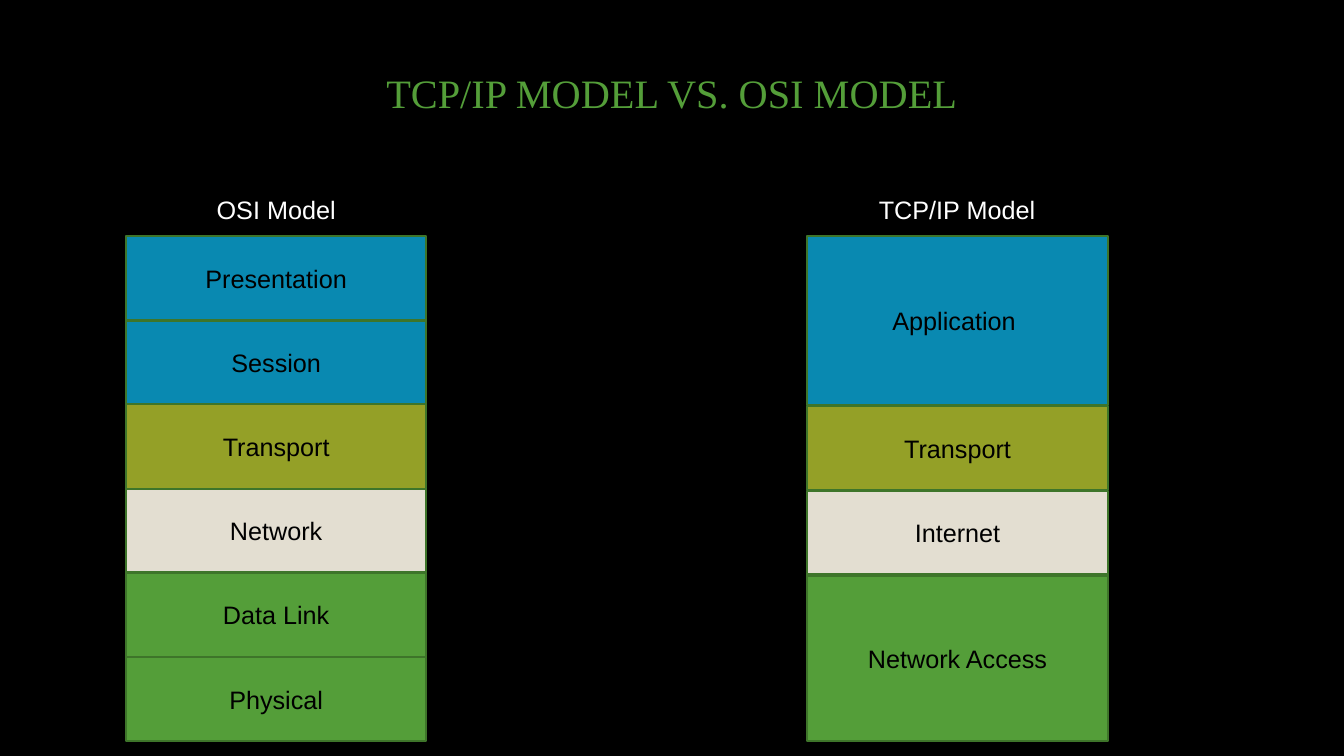
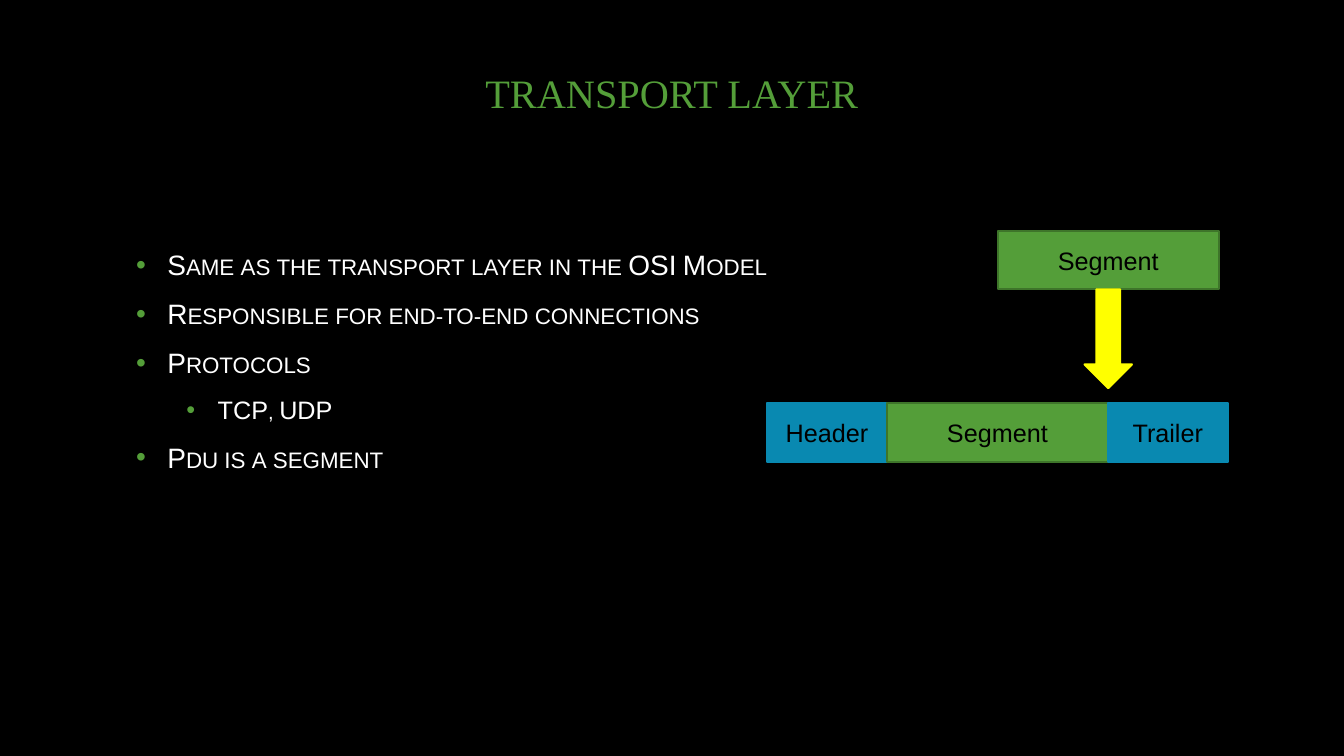
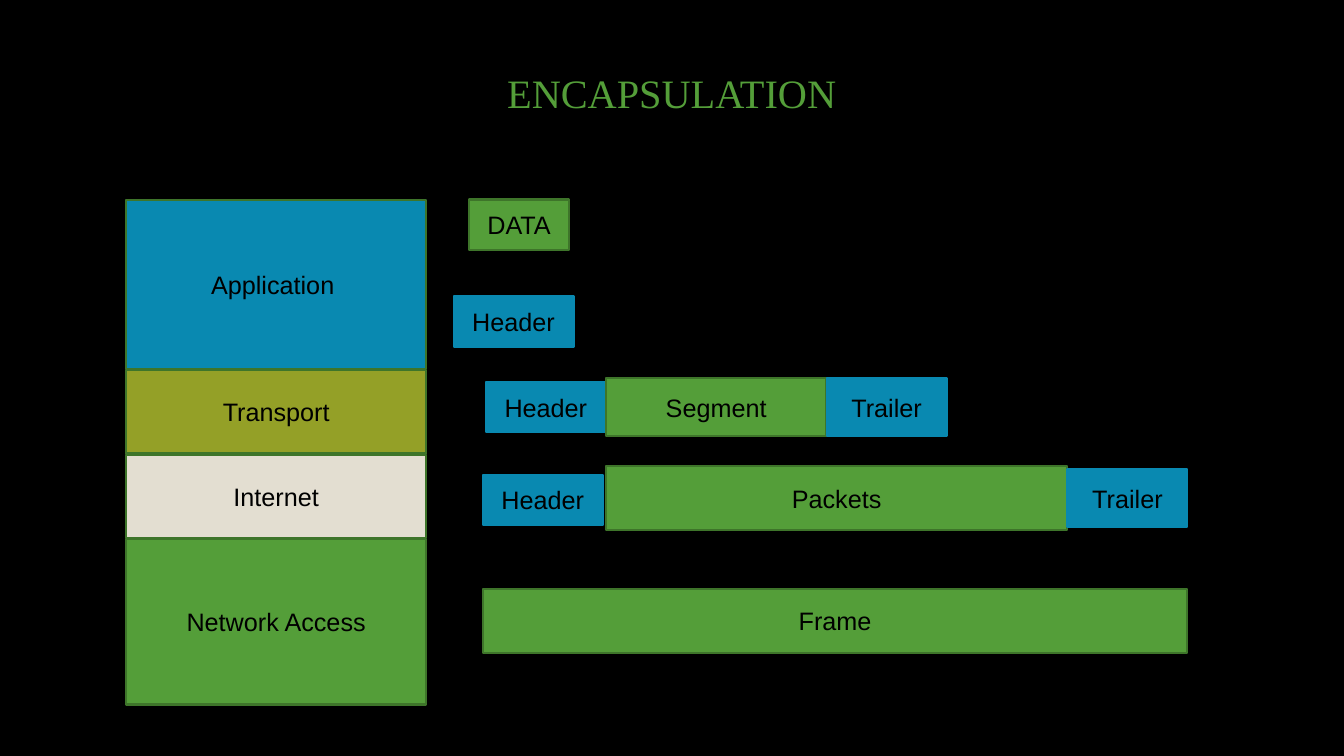
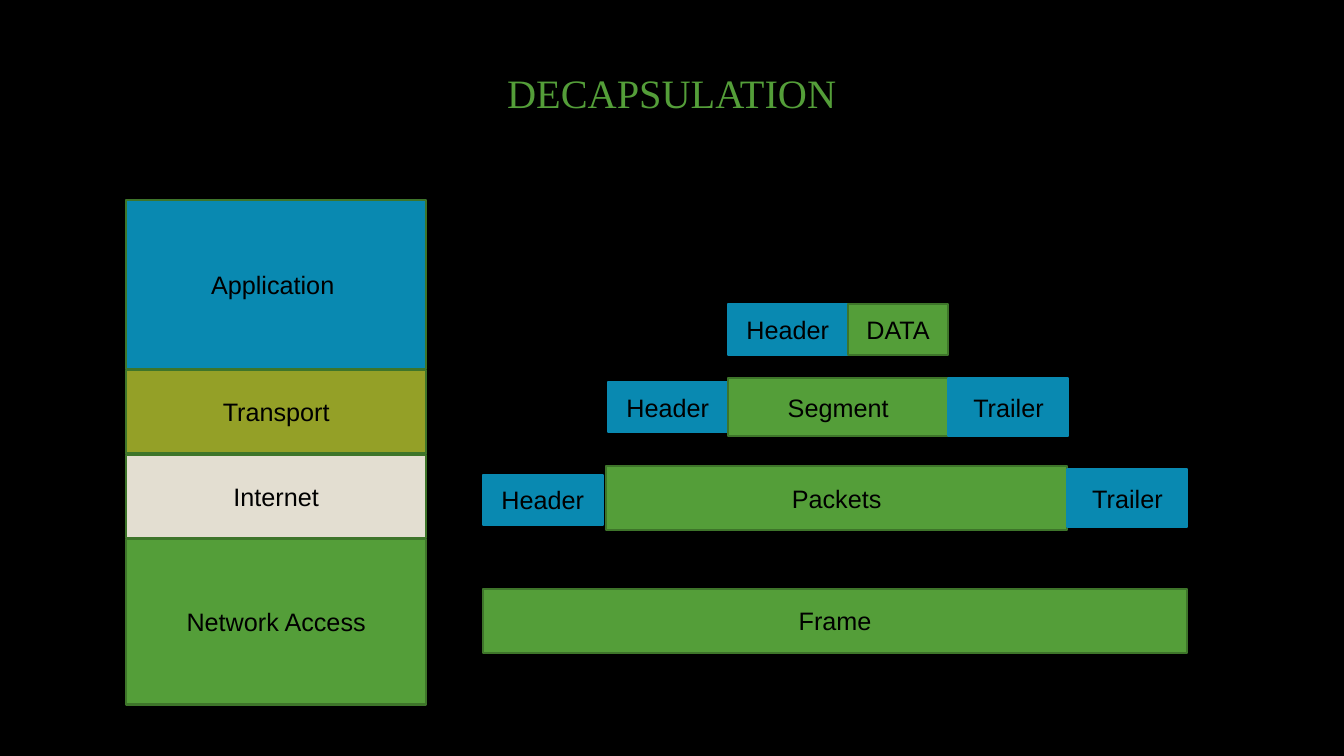
from lxml.etree import SubElement
from pptx import Presentation
from pptx.dml.color import RGBColor
from pptx.enum.shapes import MSO_SHAPE
from pptx.enum.text import MSO_ANCHOR, MSO_AUTO_SIZE, PP_ALIGN
from pptx.oxml.ns import qn
from pptx.util import Emu, Pt

BLACK = RGBColor(0x00, 0x00, 0x00)
WHITE = RGBColor(0xFF, 0xFF, 0xFF)
GREEN = RGBColor(0x54, 0x9E, 0x39)
DARK_GREEN = RGBColor(0x3E, 0x75, 0x2A)
BLUE = RGBColor(0x09, 0x89, 0xB1)
OLIVE = RGBColor(0x94, 0xA0, 0x27)
SAND = RGBColor(0xE3, 0xDE, 0xD1)
YELLOW = RGBColor(0xFF, 0xFF, 0x00)

BODY_FONT = "Arial"
TITLE_FONT = "Times New Roman"
EMU_PER_PX = 9144
MARGIN = 125
LAYER_WIDTH = 298
CONTENT_LAYOUT, TITLE_LAYOUT = 1, 5

OSI_LAYERS = [
    ("Presentation", BLUE, 84),
    ("Session", BLUE, 83),
    ("Transport", OLIVE, 84),
    ("Network", SAND, 83),
    ("Data Link", GREEN, 84),
    ("Physical", GREEN, 83),
]
TCP_IP_LAYERS = [
    ("Application ", BLUE, 168),
    ("Transport", OLIVE, 83),
    ("Internet", SAND, 83),
    ("Network Access", GREEN, 164),
]
UNITS = {
    "DATA": (100, 50, GREEN, DARK_GREEN),
    "Header": (119, 50, BLUE, BLUE),
    "Segment": (219, 58, GREEN, DARK_GREEN),
    "Trailer": (119, 58, BLUE, BLUE),
    "Packets": (458, 64, GREEN, DARK_GREEN),
    "Frame": (699, 64, GREEN, DARK_GREEN),
}
TRANSPORT_POINTS = [
    ("Same as the transport layer in the OSI Model", 0),
    ("Responsible for end-to-end connections", 0),
    ("Protocols", 0),
    ("TCP, UDP", 1),
    ("Pdu is a segment", 0),
]


def px(length):
    """Turn px into EMU."""
    return Emu(length * EMU_PER_PX)


def place(shape, left, top, width, height):
    """Move and size a shape in px."""
    shape.left, shape.top = px(left), px(top)
    shape.width, shape.height = px(width), px(height)


def style_text(paragraph, size, color, font=BODY_FONT):
    """Format every run of a paragraph."""
    for run in paragraph.runs:
        run.font.size = Pt(size)
        run.font.name = font
        run.font.color.rgb = color


def add_block(shapes, box, fill, outline, label="", preset=MSO_SHAPE.RECTANGLE):
    """Draw a filled block with an optional centred label."""
    block = shapes.add_shape(preset, *map(px, box))
    block.shadow.inherit = False
    block.fill.solid()
    block.fill.fore_color.rgb = fill
    block.line.color.rgb = outline
    block.line.width = Pt(1.5)
    if label:
        frame = block.text_frame
        frame.text = label
        frame.vertical_anchor = MSO_ANCHOR.MIDDLE
        frame.paragraphs[0].alignment = PP_ALIGN.CENTER
        style_text(frame.paragraphs[0], 18, BLACK)


def add_stack(shapes, left, top, layers, gap=0):
    """Pile the layers of a model downwards from the given corner."""
    for name, fill, height in layers:
        add_block(shapes, (left, top, LAYER_WIDTH, height), fill, DARK_GREEN, name)
        top += height + gap


def add_heading(slide, left, top, width, text):
    """Centre a heading over the stack at the given corner."""
    box = (left + (LAYER_WIDTH - width) // 2, top - 46, width, 40)
    heading = slide.shapes.add_textbox(*map(px, box))
    heading.text_frame.word_wrap = True
    heading.text_frame.text = text
    heading.text_frame.paragraphs[0].alignment = PP_ALIGN.CENTER
    style_text(heading.text_frame.paragraphs[0], 18, WHITE)


def add_units(shapes, left, middle, labels, row_height=None):
    """Set data units side by side, centred on one horizontal line."""
    for label in labels:
        width, unit_height, fill, outline = UNITS[label]
        height = row_height or unit_height
        add_block(shapes, (left, middle - height // 2, width, height), fill, outline, label)
        left += width


def add_bullets(body, points):
    """Fill the body placeholder with small-caps bullets."""
    frame = body.text_frame
    frame.auto_size = MSO_AUTO_SIZE.NONE
    frame.vertical_anchor = MSO_ANCHOR.MIDDLE
    frame.text = "\n".join(text for text, _ in points)
    for index, (paragraph, (_, level)) in enumerate(zip(frame.paragraphs, points)):
        paragraph.level = level
        properties = paragraph._p.get_or_add_pPr()
        properties.set("marL", str(px(31 + 50 * level)))
        properties.set("indent", str(px(-31)))
        bullet_color = SubElement(properties, qn("a:buClr"))
        SubElement(bullet_color, qn("a:srgbClr"), val=str(GREEN))
        SubElement(properties, qn("a:buFont"), typeface=BODY_FONT)
        SubElement(properties, qn("a:buChar"), char="•")
        paragraph.space_before = Pt(5 if index else 0)
        paragraph.space_after = Pt(6)
        style_text(paragraph, 18 if level else 20, WHITE)
        for run in paragraph.runs:
            run.font._element.set("cap", "small")


def add_titled_slide(deck, title, layout=TITLE_LAYOUT):
    """Add a slide with the shared title style."""
    slide = deck.slides.add_slide(deck.slide_layouts[layout])
    heading = slide.shapes.title
    place(heading, MARGIN, 67, 1083, 50)
    heading.text_frame.text = title
    heading.text_frame.auto_size = MSO_AUTO_SIZE.NONE
    heading.text_frame.vertical_anchor = MSO_ANCHOR.MIDDLE
    heading.text_frame.paragraphs[0].alignment = PP_ALIGN.CENTER
    style_text(heading.text_frame.paragraphs[0], 28.8, GREEN, TITLE_FONT)
    return slide


def add_comparison_slide(deck):
    """Show both models as stacks."""
    slide = add_titled_slide(deck, "TCP/IP MODEL VS. OSI MODEL")
    for left, heading, width, layers, gap in [
        (MARGIN, "OSI Model", 138, OSI_LAYERS, 0),
        (801, "TCP/IP Model", 177, TCP_IP_LAYERS, 1),
    ]:
        add_stack(slide.shapes, left, 234, layers, gap)
        add_heading(slide, left, 234, width, heading)


def add_transport_slide(deck):
    """Describe the transport layer beside its data unit."""
    slide = add_titled_slide(deck, "TRANSPORT LAYER", CONTENT_LAYOUT)
    body = slide.placeholders[1]
    place(body, MARGIN, 117, 900, 482)
    add_bullets(body, TRANSPORT_POINTS)
    add_units(slide.shapes, 990, 258, ["Segment"])
    add_block(slide.shapes, (1076, 287, 47, 98), YELLOW, YELLOW, preset=MSO_SHAPE.DOWN_ARROW)
    wrapped_segment = slide.shapes.add_group_shape().shapes
    add_units(wrapped_segment, 761, 429, ["Header", "Segment", "Trailer"], 58)


def add_flow_slide(deck, title, upper_rows):
    """Show the data units next to the layers that handle them."""
    slide = add_titled_slide(deck, title)
    add_stack(slide.shapes.add_group_shape().shapes, MARGIN, 198, TCP_IP_LAYERS, 1)
    lower_rows = [
        (601, 494, ["Packets", "Trailer"]),
        (479, 496, ["Header"]),
        (479, 616, ["Frame"]),
    ]
    for left, middle, labels in upper_rows + lower_rows:
        add_units(slide.shapes, left, middle, labels)


def main():
    """Build the deck."""
    deck = Presentation()
    deck.slide_width, deck.slide_height = Emu(12192000), px(750)
    background = deck.slide_master.background.fill
    background.solid()
    background.fore_color.rgb = BLACK
    segment_row = ["Header", "Segment", "Trailer"]
    add_comparison_slide(deck)
    add_transport_slide(deck)
    add_flow_slide(deck, "ENCAPSULATION", [
        (465, 223, ["DATA"]),
        (450, 319, ["Header"]),
        (482, 404, segment_row),
    ])
    add_flow_slide(deck, "DECAPSULATION", [
        (722, 327, ["Header", "DATA"]),
        (603, 404, segment_row),
    ])
    deck.save("out.pptx")


if __name__ == "__main__":
    main()
